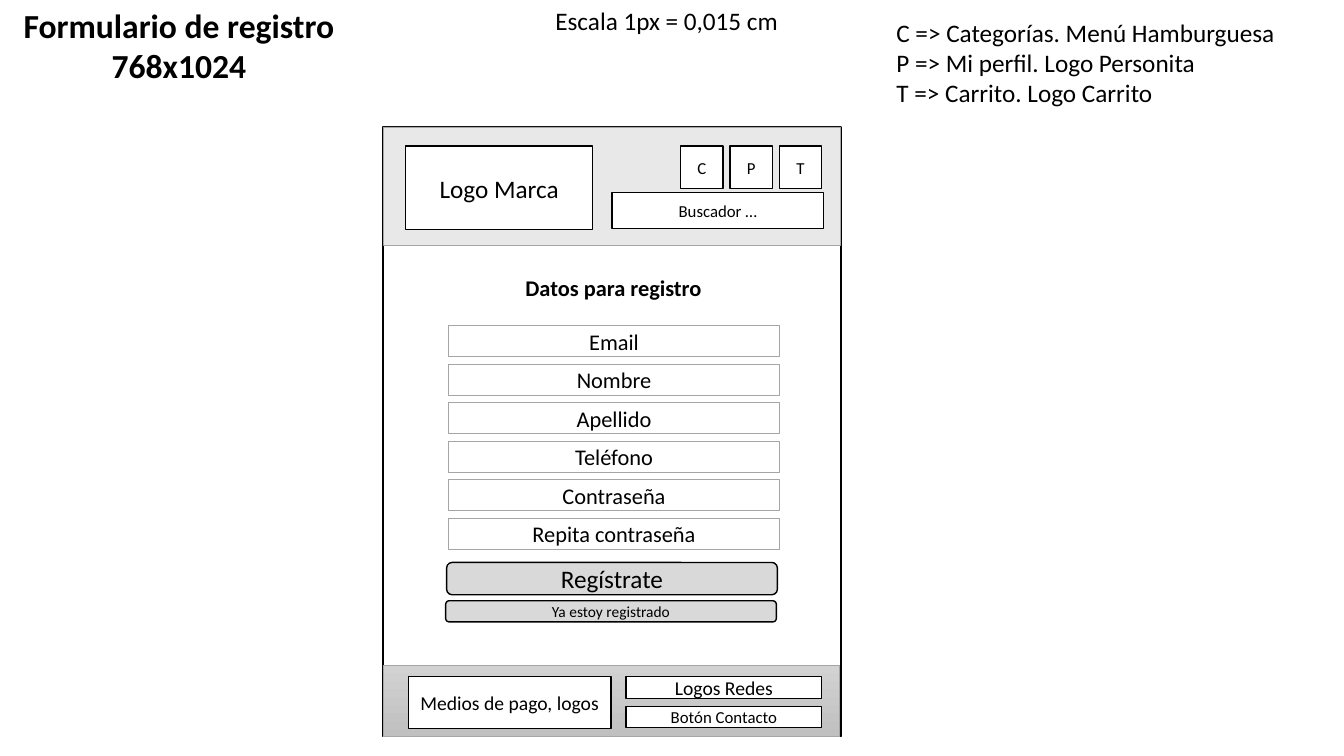
from dataclasses import dataclass

from lxml import etree
from pptx import Presentation
from pptx.dml.color import RGBColor
from pptx.enum.shapes import MSO_SHAPE
from pptx.enum.text import MSO_ANCHOR, MSO_AUTO_SIZE, PP_ALIGN
from pptx.oxml.ns import qn
from pptx.shapes.autoshape import Shape
from pptx.slide import Slide
from pptx.util import Emu, Inches, Pt

RECTANGLE = MSO_SHAPE.RECTANGLE
ROUNDED = MSO_SHAPE.ROUNDED_RECTANGLE
CENTER, LEFT = PP_ALIGN.CENTER, PP_ALIGN.LEFT
TOP, MIDDLE = MSO_ANCHOR.TOP, MSO_ANCHOR.MIDDLE
NO_FIT = MSO_AUTO_SIZE.NONE

SLIDE_WIDTH, SLIDE_HEIGHT = Inches(13.33), Inches(7.5)
COLUMNS, ROWS = 133.3, 75
FONT = "Calibri"
COLORS = {
    "ink": "000000",
    "paper": "FFFFFF",
    "border": "A5A5A5",
    "panel": "D9D9D9",
    "footer_top": "D2D2D2",
    "footer_bottom": "C0C0C0",
}


@dataclass(frozen=True)
class Area:
    column: float
    row: float
    columns: float
    rows: float


@dataclass(frozen=True)
class Block:
    area: Area
    text: str = ""
    size: float = 12
    fill: str = "paper"
    line: str = "ink"
    weight: float = 1
    shape: MSO_SHAPE = RECTANGLE


@dataclass(frozen=True)
class Caption:
    area: Area
    text: str
    size: float
    bold: bool = False
    align: PP_ALIGN = LEFT
    wrap: bool = False


FRAME = Block(Area(38, 12.6, 45.4, 60.5))
FOOTER = Block(Area(38, 66, 45.3, 7.1), line="border", weight=0.5)
HEADER = Block(Area(38, 12.6, 45.4, 11.7), fill="panel", line="border", weight=0.5)

HEADER_BLOCKS = [
    Block(Area(40.2, 14.5, 18.6, 8.3), "Logo Marca", 18),
    Block(Area(60.7, 19.1, 21, 3.6), "Buscador …"),
]
ICON_BLOCKS = [
    Block(Area(67.5 + 4.9 * index, 14.5, 4.2, 4.2), letter)
    for index, letter in enumerate("CPT")
]
FOOTER_BLOCKS = [
    Block(Area(40.5, 67.1, 20.1, 5.2), "Medios de pago, logos", 14),
    Block(Area(62.1, 67.1, 19.4, 2.2), "Logos Redes", 14),
    Block(Area(62.1, 70.1, 19.4, 2.1), "Botón Contacto"),
]
FIELDS = ["Email", "Nombre", "Apellido", "Teléfono", "Contraseña", "Repita contraseña"]
FIELD_BLOCKS = [
    Block(Area(44.5, 32.3 + 3.82 * index, 32.8, 3.1), label, 16,
          line="border", weight=0.5)
    for index, label in enumerate(FIELDS)
]
BUTTON_BLOCKS = [
    Block(Area(44.3, 55.8, 32.8, 3.2), "Regístrate", 18, "panel", shape=ROUNDED),
    Block(Area(44.2, 59.6, 32.8, 2.1), "Ya estoy registrado", 11, "panel", shape=ROUNDED),
]

TITLE = Caption(Area(1.2, 0, 33.1, 9.1), "Formulario de registro\n768x1024", 24, True, CENTER)
LEGEND = Caption(
    Area(87.9, 1.2, 40, 10.1),
    "C => Categorías. Menú Hamburguesa\n"
    "P => Mi perfil. Logo Personita\n"
    "T => Carrito. Logo Carrito",
    18,
)
SCALE = Caption(Area(54.1, 0, 24.3, 4), "Escala 1px = 0,015 cm", 18)
FORM_HEADING = Caption(Area(38.3, 26.7, 45.1, 3.7), "Datos para registro", 16, True, CENTER, True)


def color(name: str) -> RGBColor:
    return RGBColor.from_string(COLORS[name])


def place(area: Area) -> tuple[Emu, Emu, Emu, Emu]:
    return (
        Emu(round(SLIDE_WIDTH * area.column / COLUMNS)),
        Emu(round(SLIDE_HEIGHT * area.row / ROWS)),
        Emu(round(SLIDE_WIDTH * area.columns / COLUMNS)),
        Emu(round(SLIDE_HEIGHT * area.rows / ROWS)),
    )


def write(box: Shape, text: str, size: float, bold: bool, align: PP_ALIGN) -> None:
    box.text_frame.text = text
    for para in box.text_frame.paragraphs:
        para.alignment = align
        para.line_spacing = 1.0
        para.space_before = Pt(0)
        for span in para.runs:
            span.font.name = FONT
            span.font.size = Pt(size)
            span.font.bold = bold
            span.font.color.rgb = color("ink")


def draw_block(page: Slide, block: Block) -> Shape:
    box = page.shapes.add_shape(block.shape, *place(block.area))
    box.shadow.inherit = False
    box.fill.solid()
    box.fill.fore_color.rgb = color(block.fill)
    box.line.color.rgb = color(block.line)
    box.line.width = Pt(block.weight)
    if block.text:
        box.text_frame.vertical_anchor = MIDDLE
        write(box, block.text, block.size, False, CENTER)
    return box


def fill_caption(box: Shape, caption: Caption) -> None:
    box.left, box.top, box.width, box.height = place(caption.area)
    frame = box.text_frame
    frame.word_wrap = caption.wrap
    frame.auto_size = NO_FIT
    frame.vertical_anchor = TOP
    write(box, caption.text, caption.size, caption.bold, caption.align)


def draw_caption(page: Slide, caption: Caption) -> None:
    fill_caption(page.shapes.add_textbox(*place(caption.area)), caption)


def remove_bullets(box: Shape) -> None:
    for para in box.text_frame.paragraphs:
        properties = para._p.get_or_add_pPr()
        properties.set("marL", "0")
        properties.set("indent", "0")
        etree.SubElement(properties, qn("a:buNone"))


def set_opacity(box: Shape, percent: int) -> None:
    tint = box._element.spPr.find(qn("a:solidFill"))[0]
    etree.SubElement(tint, qn("a:alpha")).set("val", str(percent * 1000))


def shade_footer(box: Shape) -> None:
    box.fill.gradient()
    box.fill.gradient_angle = 270
    for stop, name in zip(box.fill.gradient_stops, ("footer_top", "footer_bottom")):
        stop.color.rgb = color(name)


def main() -> None:
    deck = Presentation()
    deck.slide_width, deck.slide_height = SLIDE_WIDTH, SLIDE_HEIGHT
    page = deck.slides.add_slide(deck.slide_layouts[1])

    fill_caption(page.shapes.title, TITLE)
    legend = page.placeholders[1]
    fill_caption(legend, LEGEND)
    remove_bullets(legend)

    draw_block(page, FRAME)
    shade_footer(draw_block(page, FOOTER))
    set_opacity(draw_block(page, HEADER), 58)
    for block in HEADER_BLOCKS + ICON_BLOCKS + FOOTER_BLOCKS + FIELD_BLOCKS + BUTTON_BLOCKS:
        draw_block(page, block)
    for caption in (SCALE, FORM_HEADING):
        draw_caption(page, caption)

    deck.save("out.pptx")


if __name__ == "__main__":
    main()
